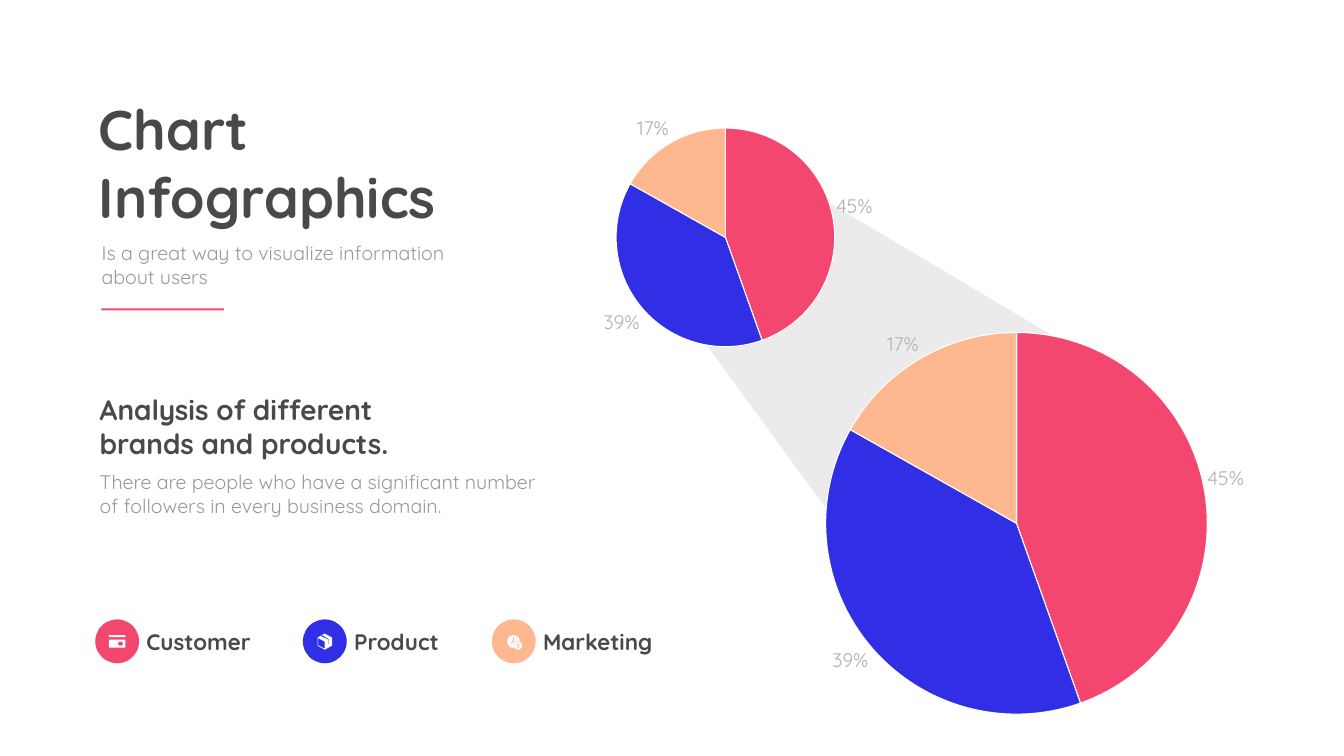
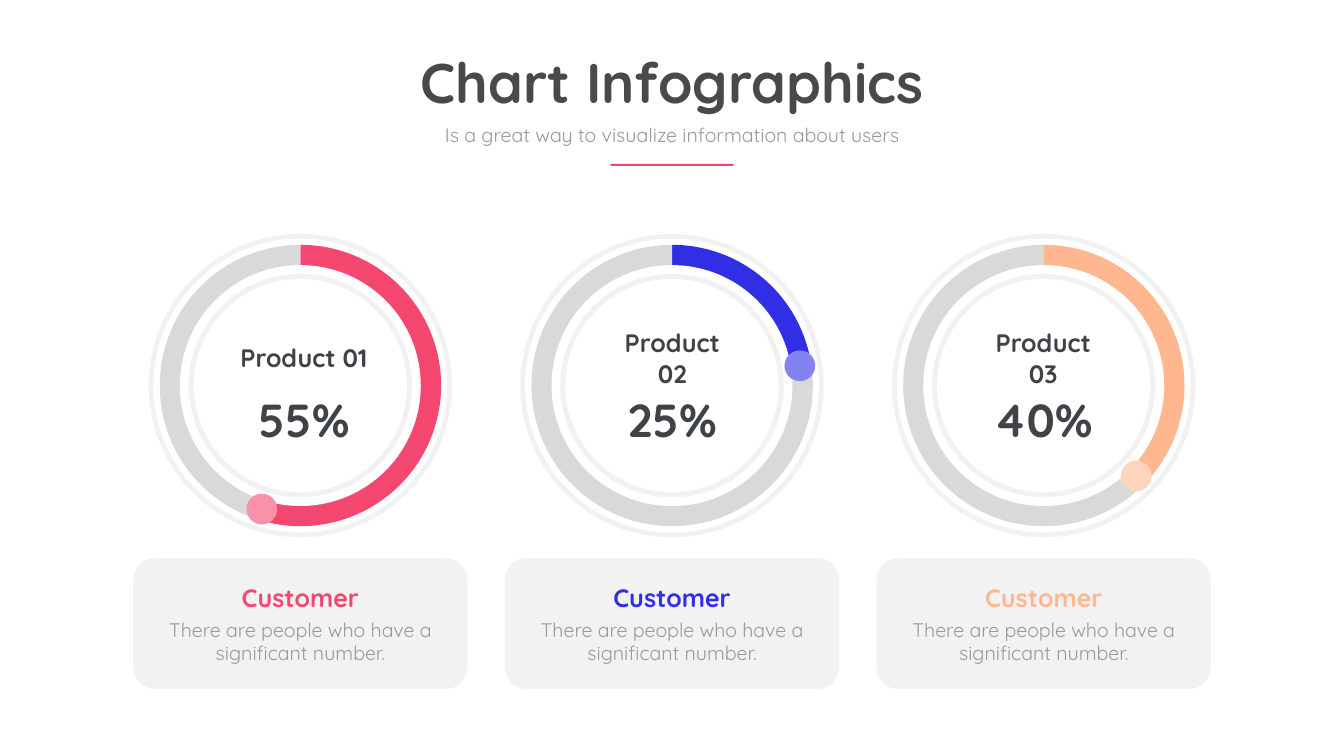
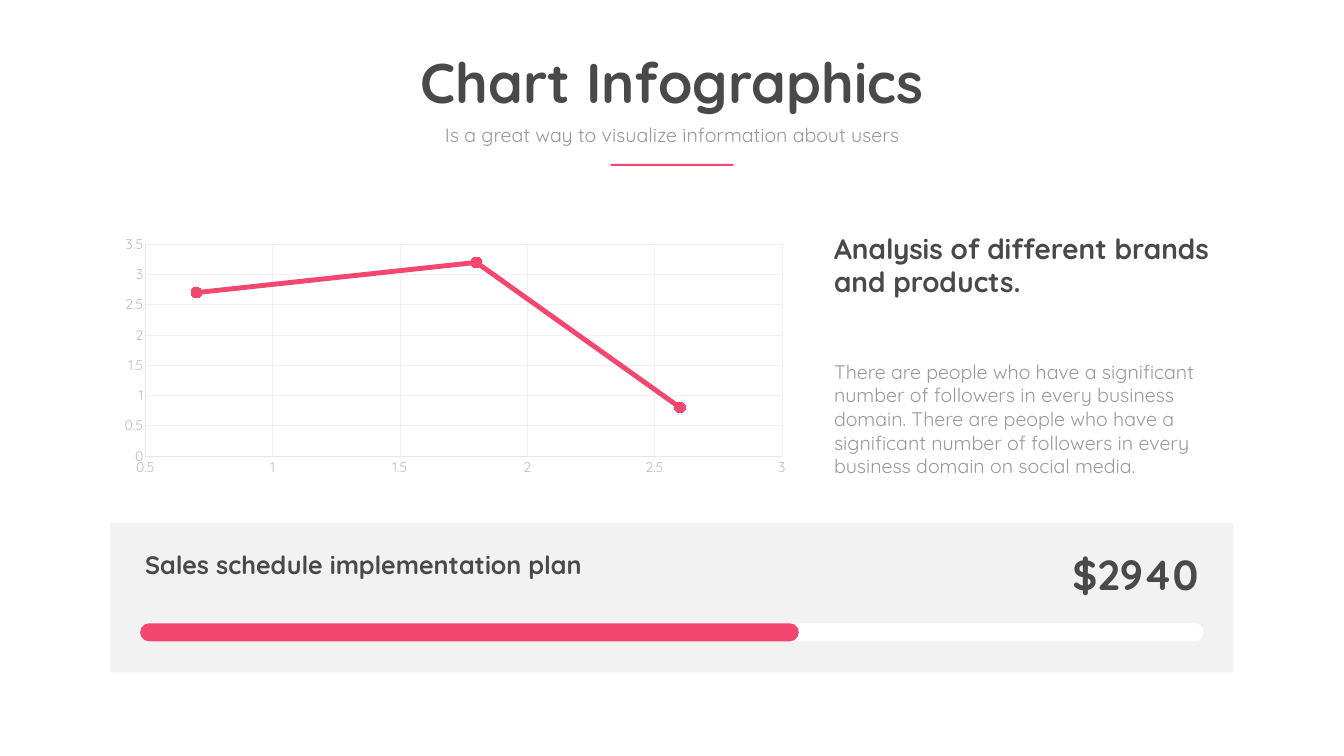
"""Build three chart infographic slides on a square grid of 160 columns by 90 rows."""
from math import cos, radians, sin

from pptx import Presentation
from pptx.chart.data import CategoryChartData, XyChartData
from pptx.dml.color import RGBColor
from pptx.enum.chart import XL_CHART_TYPE, XL_LABEL_POSITION, XL_MARKER_STYLE, XL_TICK_MARK
from pptx.enum.shapes import MSO_SHAPE
from pptx.enum.text import MSO_ANCHOR, MSO_AUTO_SIZE, PP_ALIGN
from pptx.oxml import parse_xml
from pptx.oxml.ns import nsdecls
from pptx.util import Inches, Pt

CELL = Inches(15) // 90
FONT = "Quicksand"
RED, BLUE, PEACH, WHITE = "F3476F", "302FE5", "FFB78F", "FFFFFF"
DARK, GREY, NUMBER, LABEL = "494949", "999999", "3F4347", "B2B2B2"
PANEL, RING, REST, BEAM = "F2F2F2", "F1F1F2", "D9D9D9", "EBEBEB"
AXIS_TEXT, AXIS_LINE, GRID_LINE = "BDBDBD", "E6E6E6", "F0F0F0"
TITLE = "Chart Infographics"
SUBTITLE = "Is a great way to visualize information about users"
HEADING = "Analysis of different brands and products."
LEFT, CENTER, RIGHT = PP_ALIGN.LEFT, PP_ALIGN.CENTER, PP_ALIGN.RIGHT
color = RGBColor.from_string


def style(shape, box, colour, text="", size=28, bold=False, align=LEFT):
    """Place a shape on the grid and either write its text or fill it."""
    shape.left, shape.top, shape.width, shape.height = [round(n * CELL) for n in box]
    if not text:
        shape.fill.solid()
        shape.fill.fore_color.rgb = color(colour)
        shape.line.fill.background()
        shape.shadow.inherit = False
        return shape
    frame = shape.text_frame
    frame.text = text
    frame.word_wrap = True
    frame.auto_size = MSO_AUTO_SIZE.NONE
    frame.vertical_anchor = MSO_ANCHOR.TOP
    paragraph = frame.paragraphs[0]
    paragraph.alignment = align
    paragraph.space_before = Pt(0)
    paragraph.font.name = FONT
    paragraph.font.size = Pt(size)
    paragraph.font.bold = bold
    paragraph.font.color.rgb = color(colour)
    return shape


def add_pie(slide, box, values, colours, plot_box):
    """Add a pie whose circle fills the given share of the chart."""
    data = CategoryChartData()
    data.categories = [str(number + 1) for number in range(len(values))]
    data.add_series("Series 1", values)
    chart = slide.shapes.add_chart(
        XL_CHART_TYPE.PIE, *[round(n * CELL) for n in box], data).chart
    chart.has_title = chart.has_legend = False
    chart.font.name = FONT
    chart.font.size = Pt(20)
    chart.font.color.rgb = color(GREY)
    for index, colour in enumerate(colours):
        piece = chart.plots[0].series[0].points[index].format
        piece.fill.solid()
        piece.fill.fore_color.rgb = color(colour)
        piece.line.fill.background()
    parts = "".join(f'<c:{name} val="{share}"/>' for name, share in zip("xywh", plot_box))
    area = chart.element.chart.plotArea
    for layout in area.findall("{*}layout"):
        area.remove(layout)
    area.insert(0, parse_xml(
        f'<c:layout {nsdecls("c")}><c:manualLayout><c:layoutTarget val="inner"/>'
        f'<c:xMode val="edge"/><c:yMode val="edge"/>{parts}</c:manualLayout></c:layout>'))
    return chart


presentation = Presentation()
presentation.slide_width, presentation.slide_height = 160 * CELL, 90 * CELL

centred_header = [(41.25, 5.4, 77.5, 8.7), (51.3, 14.28, 57.4, 3.42), (72.7, 19.5, 14.6, 0.24)]
left_header = [(11.16, 11, 44, 16.74), (11.5, 28.4, 45.7, 6.24), (12.06, 36.72, 14.6, 0.24)]
slides = []
for boxes, align in [(left_header, LEFT), (centred_header, CENTER), (centred_header, CENTER)]:
    slide = presentation.slides.add_slide(presentation.slide_layouts[0])
    style(slide.shapes.title, boxes[0], DARK, TITLE, 80, True, align)
    style(slide.placeholders[1], boxes[1], GREY, SUBTITLE, align=align)
    style(slide.shapes.add_shape(MSO_SHAPE.RECTANGLE, 0, 0, 0, 0), boxes[2], RED)
    slides.append(slide)
pie_slide, ring_slide, line_slide = slides

shapes = pie_slide.shapes
beam = style(shapes.add_shape(MSO_SHAPE.TRAPEZOID, 0, 0, 0, 0), (85.74, 21, 40.5, 49.56), BEAM)
beam.rotation = 312.3
for box, plot_box in [
    ((87.2, 37, 70, 48.8), (0.158, 0.053, 0.65, 0.931)),
    ((65.1, 12.2, 44.2, 30.8), (0.186, 0.099, 0.59, 0.845)),
]:
    chart = add_pie(pie_slide, box, (45, 39, 17), (RED, BLUE, PEACH), plot_box)
    plot = chart.plots[0]
    for index in range(3):
        border = plot.series[0].points[index].format.line
        border.color.rgb = color(WHITE)
        border.width = Pt(1.5)
    plot.has_data_labels = True
    labels = plot.data_labels
    labels.show_percentage = True
    labels.show_value = False
    labels.number_format = "0%"
    labels.number_format_is_linked = False
    labels.position = XL_LABEL_POSITION.OUTSIDE_END
    labels.font.name = FONT
    labels.font.size = Pt(28)
    labels.font.color.rgb = color(LABEL)

style(shapes.add_textbox(0, 0, 0, 0), (11.28, 55.7, 53.7, 6.24), GREY,
      "There are people who have a significant number of followers in every business domain.")
style(shapes.add_textbox(0, 0, 0, 0), (11.28, 46.45, 44.6, 12.7), DARK, HEADING, 40, True)
for name, colour, left, width in [
    ("Customer", RED, 11.34, 22.2), ("Product", BLUE, 36.06, 22.2), ("Marketing", PEACH, 58.56, 15.84),
]:
    style(shapes.add_shape(MSO_SHAPE.OVAL, 0, 0, 0, 0), (left, 73.74, 5.22, 5.22), colour)
    style(shapes.add_textbox(0, 0, 0, 0), (left + 5.5, 74.52, width, 3.84), DARK, name, 32, True)

for kind, box, colour in [
    (MSO_SHAPE.ROUND_2_SAME_RECTANGLE, (12.96, 75.6, 1.98, 0.24), WHITE),
    (MSO_SHAPE.OVAL, (60.36, 75.6, 1.56, 1.56), WHITE),
    (MSO_SHAPE.OVAL, (61.14, 76.32, 1.08, 1.08), PEACH),
    (MSO_SHAPE.OVAL, (61.2, 76.38, 0.96, 0.96), WHITE),
]:
    style(shapes.add_shape(kind, 0, 0, 0, 0), box, colour)
card = [
    [(12.96, 76.14), (14.94, 76.14), (14.94, 77.1), (12.96, 77.1)],
    [(14, 76.62), (14.2, 76.86), (14.5, 76.86), (14.7, 76.62), (14.5, 76.4), (14.2, 76.4)],
]
parcel = [
    [(37.8, 75.9), (38.64, 75.42), (39.54, 75.9), (39.54, 76.86), (38.67, 77.34), (37.8, 76.86)],
    [(37.86, 75.96), (37.86, 76.8), (38.64, 77.22), (38.64, 76.38)],
    [(38.16, 75.72), (39.06, 76.14), (39.06, 76.68), (39.12, 76.68), (39.12, 76.08), (38.34, 75.6)],
]
clock_hands = [[(61.08, 75.84), (61.2, 75.84), (61.2, 76.36), (60.9, 76.62),
                (60.84, 76.56), (61.08, 76.32)]]
coin_sign = [[(61.86, 76.62), (61.62, 76.62), (61.5, 76.8), (61.62, 76.92), (61.74, 76.98),
              (61.68, 77.04), (61.5, 77.04), (61.5, 77.1), (61.8, 77.1), (61.86, 76.98),
              (61.68, 76.86), (61.62, 76.8), (61.62, 76.74), (61.86, 76.74)]]
for contours, colour in [(card, WHITE), (parcel, WHITE), (clock_hands, PEACH), (coin_sign, PEACH)]:
    outlines = [[(x * CELL, y * CELL) for x, y in contour] for contour in contours]
    builder = shapes.build_freeform(*outlines[0][0])
    builder.add_line_segments(outlines[0][1:])
    for outline in outlines[1:]:
        builder.move_to(*outline[0])
        builder.add_line_segments(outline[1:])
    icon = builder.convert_to_shape()
    box = [length / CELL for length in (icon.left, icon.top, icon.width, icon.height)]
    style(icon, box, colour)

shapes = ring_slide.shapes
middle = 45.9
for index, (colour, tint, share, angle, percent, text_centre) in enumerate([
    (RED, "F891A9", 54, 197.3, "55%", 36.18),
    (BLUE, "8382EF", 23, 81.2, "25%", 80.04),
    (PEACH, "FFD4BC", 38, 134.3, "40%", 124.2),
]):
    centre = 80 + 44.25 * (index - 1)
    for diameter, disc_colour in [
        (36.12, RING), (34.98, WHITE), (38.2, None), (28.68, WHITE), (26.58, RING), (25.38, WHITE),
    ]:
        box = (centre - diameter / 2, middle - diameter / 2, diameter, diameter)
        if disc_colour:
            style(shapes.add_shape(MSO_SHAPE.OVAL, 0, 0, 0, 0), box, disc_colour)
        else:
            add_pie(ring_slide, box, (share, 100 - share), (colour, REST), (0.062, 0.001, 0.877, 1))
    dot_x = centre + 15.4 * sin(radians(angle))
    dot_y = middle - 15.4 * cos(radians(angle))
    style(shapes.add_shape(MSO_SHAPE.OVAL, 0, 0, 0, 0),
          (dot_x - 1.83, dot_y - 1.83, 3.66, 3.66), tint)
    for text, size, top, height in [
        (f"Product 0{index + 1}", 36, 38.64, 7.92), (percent, 66, 46.26, 7.32),
    ]:
        label = style(shapes.add_textbox(0, 0, 0, 0), (text_centre - 7.92, top, 15.84, height),
                      NUMBER, text, size, True, CENTER)
        frame = label.text_frame
        frame.vertical_anchor = MSO_ANCHOR.MIDDLE
        frame.margin_left = frame.margin_right = Inches(0.06)
        frame.margin_top = frame.margin_bottom = Inches(0.06)
    style(shapes.add_shape(MSO_SHAPE.ROUNDED_RECTANGLE, 0, 0, 0, 0),
          (centre - 19.89, 66.42, 39.78, 15.6), PANEL)
    style(shapes.add_textbox(0, 0, 0, 0), (centre - 17.16, 73.26, 34.32, 6.24), GREY,
          "There are people who have a significant number.", align=CENTER)
    style(shapes.add_textbox(0, 0, 0, 0), (centre - 17.16, 69, 34.32, 4.26), colour,
          "Customer", 36, True, CENTER)

shapes = line_slide.shapes
data = XyChartData()
points = data.add_series("Series 1")
for x, y in [(0.7, 2.7), (1.8, 3.2), (2.6, 0.8)]:
    points.add_data_point(x, y)
chart = shapes.add_chart(XL_CHART_TYPE.XY_SCATTER_LINES,
                         *[round(n * CELL) for n in (13.2, 27.42, 81.96, 29.82)], data).chart
chart.has_title = chart.has_legend = False
chart.font.name = FONT
chart.font.size = Pt(20)
chart.font.color.rgb = color(GREY)
for axis, low, high in [(chart.category_axis, 0.5, 3), (chart.value_axis, 0, 3.5)]:
    axis.minimum_scale, axis.maximum_scale, axis.major_unit = low, high, 0.5
    axis.major_tick_mark = axis.minor_tick_mark = XL_TICK_MARK.NONE
    axis.has_major_gridlines = True
    axis.tick_labels.font.name = FONT
    axis.tick_labels.font.size = Pt(20)
    axis.tick_labels.font.color.rgb = color(AXIS_TEXT)
    for line, colour in [(axis.format.line, AXIS_LINE), (axis.major_gridlines.format.line, GRID_LINE)]:
        line.color.rgb = color(colour)
        line.width = Pt(0.75)
series = chart.plots[0].series[0]
series.smooth = False
series.format.line.color.rgb = color(RED)
series.format.line.width = Pt(7)
series.marker.style = XL_MARKER_STYLE.CIRCLE
series.marker.size = 15
series.marker.format.fill.solid()
series.marker.format.fill.fore_color.rgb = color(RED)
series.marker.format.line.fill.background()

style(shapes.add_shape(MSO_SHAPE.RECTANGLE, 0, 0, 0, 0), (13.14, 62.28, 133.68, 17.76), PANEL)
style(shapes.add_textbox(0, 0, 0, 0), (16.68, 65.04, 61.26, 4.26), DARK,
      "Sales schedule implementation plan", 36, True)
style(shapes.add_textbox(0, 0, 0, 0), (82, 65.04, 61.26, 6.66), DARK, "$2940", 60, True, RIGHT)
for width, colour in [(126.6, WHITE), (78.42, RED)]:
    bar = style(shapes.add_shape(MSO_SHAPE.ROUNDED_RECTANGLE, 0, 0, 0, 0),
                (16.68, 74.2, width, 2.16), colour)
    bar.adjustments[0] = 0.5
style(shapes.add_textbox(0, 0, 0, 0), (98.7, 42.54, 48.06, 14.76), GREY,
      "There are people who have a significant number of followers in every business domain. "
      "There are people who have a significant number of followers in every business domain "
      "on social media.")
style(shapes.add_textbox(0, 0, 0, 0), (98.7, 27.24, 48.06, 8.7), DARK, HEADING, 40, True)

presentation.save("out.pptx")
